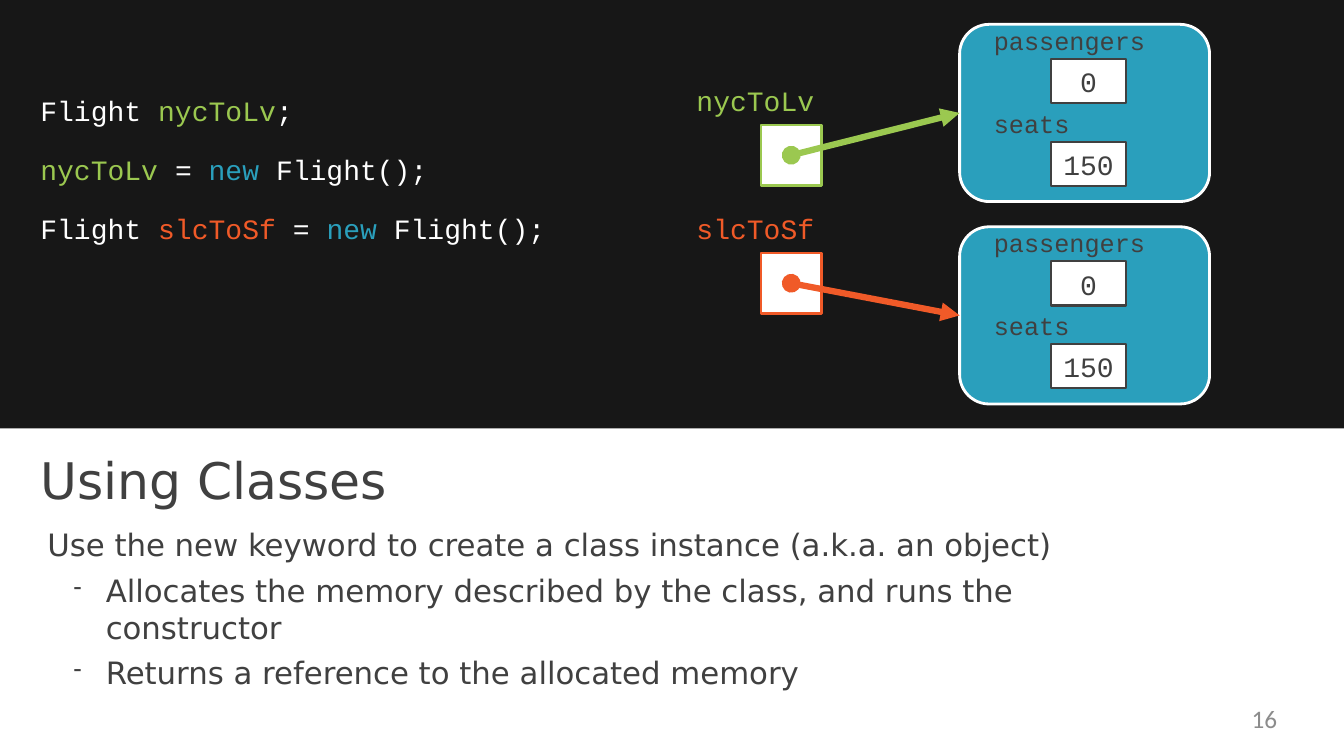
"""Build the slide on using classes: code, references, objects and notes."""
from dataclasses import dataclass
from typing import Optional

from lxml.etree import SubElement
from pptx import Presentation
from pptx.dml.color import RGBColor
from pptx.enum.shapes import MSO_CONNECTOR, MSO_SHAPE
from pptx.enum.text import MSO_ANCHOR, PP_ALIGN
from pptx.oxml.ns import qn
from pptx.util import Emu, Inches, Pt

BLACK = RGBColor(0x17, 0x17, 0x17)
WHITE = RGBColor(0xFF, 0xFF, 0xFF)
DARK = RGBColor(0x40, 0x40, 0x40)
GREY = RGBColor(0x8C, 0x8C, 0x8C)
BLUE = RGBColor(0x2A, 0x9F, 0xBC)
GREEN = RGBColor(0x9B, 0xC8, 0x50)
ORANGE = RGBColor(0xF0, 0x5A, 0x28)
MONO, SANS, NUMBER = "Courier New", "DejaVu Sans", "Calibri"

WIDTH, HEIGHT = Inches(13.3333), Inches(7.5)
COLUMNS, ROWS = 160, 90
OBJECT_LEFT, OBJECT_TOP, OBJECT_PITCH = 114.24, 2.9, 24.1
OBJECT_WIDTH, OBJECT_HEIGHT = 29.76, 21.1
FIELD_PITCH = 9.86
REF_LEFT, REF_TOP, REF_PITCH, REF_SIZE = 90.6, 14.88, 15.24, 7.2


@dataclass
class Box:
    left: float
    top: float
    width: float
    height: float


@dataclass
class Run:
    text: str
    color: RGBColor


@dataclass
class Para:
    runs: list[Run]
    size: float = 20
    before: float = 0
    margin: float = 0
    bullet: bool = False


@dataclass
class Reference:
    name: str
    color: RGBColor


@dataclass
class Field:
    name: str
    value: str


REFERENCES = [Reference("nycToLv", GREEN), Reference("slcToSf", ORANGE)]
FIELDS = [Field("passengers", "0"), Field("seats", "150")]
NEW = [Run("= ", WHITE), Run("new ", BLUE), Run("Flight();", WHITE)]
CODE = [
    Para([Run("Flight ", WHITE), Run("nycToLv", GREEN), Run(";", WHITE)]),
    Para([Run("nycToLv ", GREEN), *NEW], before=18),
    Para([Run("Flight ", WHITE), Run("slcToSf ", ORANGE), *NEW], before=18),
]
NOTES = [
    Para([Run("Using Classes", DARK)], size=36),
    Para([Run("Use the new keyword to create a class instance (a.k.a. an object)", DARK)],
         size=22, before=11, margin=0.07),
    Para([Run("Allocates the memory described by the class, and runs the constructor", DARK)],
         size=22, before=6.5, margin=0.65, bullet=True),
    Para([Run("Returns a reference to the allocated memory", DARK)],
         size=22, before=6, margin=0.65, bullet=True),
]


def col(n: float) -> Emu:
    return Emu(round(WIDTH * n / COLUMNS))


def row(n: float) -> Emu:
    return Emu(round(HEIGHT * n / ROWS))


def place(box: Box) -> tuple[Emu, Emu, Emu, Emu]:
    return col(box.left), row(box.top), col(box.width), row(box.height)


def write(sp, paras: list[Para], *, font: str = MONO, align=PP_ALIGN.LEFT,
          anchor=MSO_ANCHOR.TOP, inset: float = 0.01) -> None:
    tf = sp.text_frame
    tf.word_wrap = True
    tf.vertical_anchor = anchor
    tf.margin_left = tf.margin_right = tf.margin_bottom = 0
    tf.margin_top = Inches(inset)
    for i, para in enumerate(paras):
        p = tf.add_paragraph() if i else tf.paragraphs[0]
        p.alignment = align
        if para.before:
            p.space_before = Pt(para.before)
        pPr = p._p.get_or_add_pPr()
        pPr.set("marL", str(Inches(para.margin)))
        if para.bullet:
            pPr.set("indent", str(Inches(-0.32)))
            SubElement(pPr, qn("a:buSzPct"), val="77000")
            SubElement(pPr, qn("a:buChar"), char="-")
        for run in para.runs:
            r = p.add_run()
            r.text = run.text
            r.font.name = font
            r.font.size = Pt(para.size)
            r.font.color.rgb = run.color


def add_text(slide, box: Box, paras: list[Para], **fmt) -> None:
    write(slide.shapes.add_textbox(*place(box)), paras, **fmt)


def add_box(slide, box: Box, fill: RGBColor, line: Optional[RGBColor] = None,
            width: float = 2, kind=MSO_SHAPE.RECTANGLE):
    sp = slide.shapes.add_shape(kind, *place(box))
    sp.shadow.inherit = False
    sp.fill.solid()
    sp.fill.fore_color.rgb = fill
    if line is None:
        sp.line.fill.background()
    else:
        sp.line.color.rgb = line
        sp.line.width = Pt(width)
    return sp


def add_object(slide, top: float) -> None:
    add_box(slide, Box(OBJECT_LEFT, top, OBJECT_WIDTH, OBJECT_HEIGHT), BLUE, WHITE,
            kind=MSO_SHAPE.ROUNDED_RECTANGLE)
    for i, field in enumerate(FIELDS):
        y = top + i * FIELD_PITCH
        add_text(slide, Box(OBJECT_LEFT + 4.08, y, 18.24, 3.96),
                 [Para([Run(field.name, DARK)], size=18)])
        sp = add_box(slide, Box(OBJECT_LEFT + 10.92, y + 4.1, 8.88, 5.28), WHITE, DARK, 1.5)
        write(sp, [Para([Run(field.value, DARK)])], align=PP_ALIGN.CENTER,
              anchor=MSO_ANCHOR.MIDDLE)


def add_arrow(slide, x1: float, y1: float, x2: float, y2: float, color: RGBColor) -> None:
    con = slide.shapes.add_connector(MSO_CONNECTOR.STRAIGHT, col(x1), row(y1), col(x2), row(y2))
    con.line.color.rgb = color
    con.line.width = Pt(4.5)
    spPr = con._element.spPr
    ln = spPr.find(qn("a:ln"))
    SubElement(ln, qn("a:headEnd"), type="oval")
    SubElement(ln, qn("a:tailEnd"), type="triangle")
    SubElement(spPr, qn("a:effectLst"))


def add_reference(slide, ref: Reference, top: float, target: float) -> None:
    add_box(slide, Box(REF_LEFT, top, REF_SIZE, REF_SIZE), WHITE, ref.color)
    add_arrow(slide, REF_LEFT + REF_SIZE / 2, top + REF_SIZE / 2, OBJECT_LEFT, target, ref.color)
    add_text(slide, Box(REF_LEFT - 7.68, top - 5.1, 14.4, 4.32),
             [Para([Run(ref.name, ref.color)])])


def main() -> None:
    prs = Presentation()
    prs.slide_width, prs.slide_height = WIDTH, HEIGHT
    slide = prs.slides.add_slide(prs.slide_layouts[6])
    add_box(slide, Box(0, 0, COLUMNS, 51), BLACK)
    add_text(slide, Box(4.8, 11.04, 60.4, 18.4), CODE)
    add_text(slide, Box(4.8, 49.8, 136.6, 27.7), NOTES, font=SANS, inset=0.31)
    for i, ref in enumerate(REFERENCES):
        top = OBJECT_TOP + i * OBJECT_PITCH
        add_object(slide, top)
        add_reference(slide, ref, REF_TOP + i * REF_PITCH, top + OBJECT_HEIGHT / 2)
    add_text(slide, Box(115.2, 83.64, 36.84, 4.56), [Para([Run("16", GREY)], size=18)],
             font=NUMBER, align=PP_ALIGN.RIGHT)
    prs.save("out.pptx")


if __name__ == "__main__":
    main()
